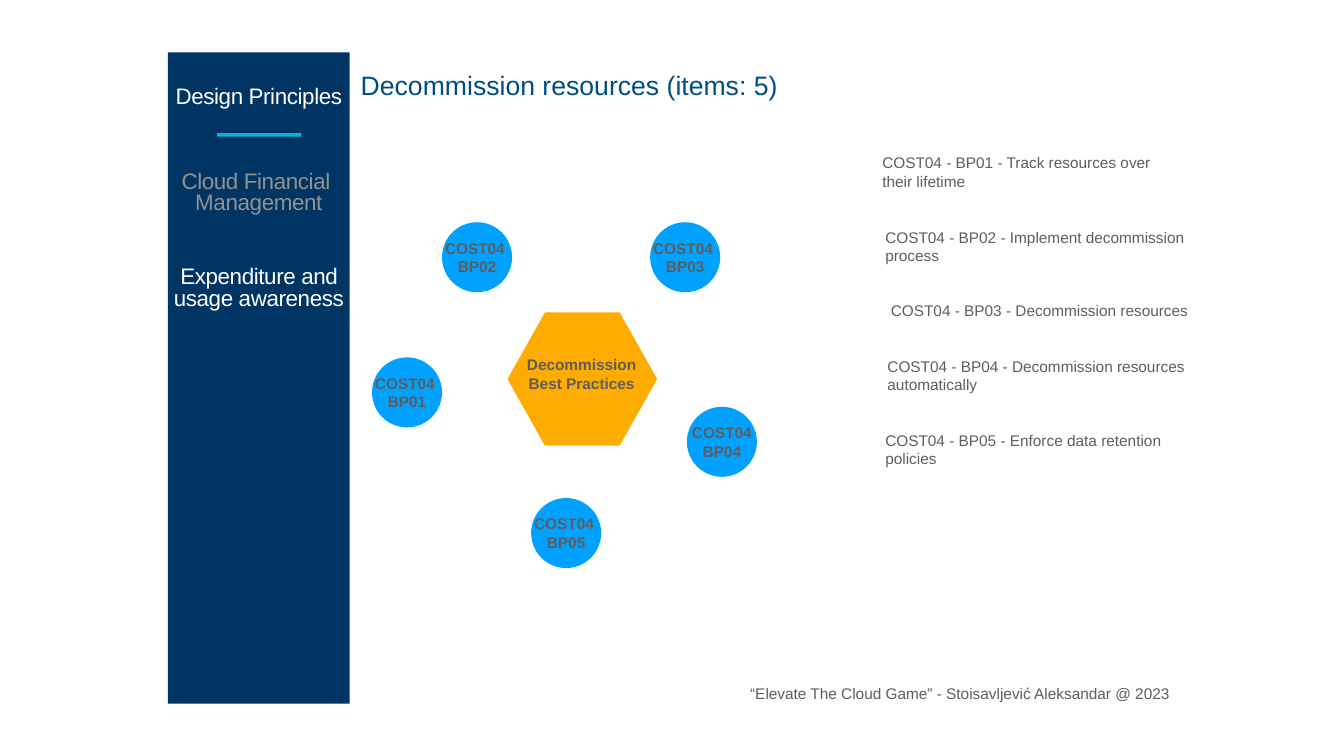
from dataclasses import dataclass

from pptx import Presentation
from pptx.dml.color import RGBColor
from pptx.enum.shapes import MSO_SHAPE
from pptx.enum.text import MSO_ANCHOR, MSO_AUTO_SIZE, PP_ALIGN
from pptx.util import Cm, Pt

RECTANGLE, OVAL = MSO_SHAPE.RECTANGLE, MSO_SHAPE.OVAL
LEFT, CENTER = PP_ALIGN.LEFT, PP_ALIGN.CENTER
MIDDLE = MSO_ANCHOR.MIDDLE
FIT_SHAPE = MSO_AUTO_SIZE.SHAPE_TO_FIT_TEXT


@dataclass(frozen=True)
class Theme:
    font: str = "Arial"
    navy: str = "003462"
    accent: str = "04B4DB"
    white: str = "FFFFFF"
    muted: str = "929292"
    body: str = "5E5E5E"
    heading: str = "004D80"
    orange: str = "FEAD00"
    blue: str = "00A1FF"
    heading_size: int = 38
    sidebar_size: int = 32
    body_size: int = 22


THEME = Theme()

# All lengths are in centimetres.
SLIDE_WIDTH, SLIDE_HEIGHT = 67.74, 38.1
SIDEBAR_LEFT, SIDEBAR_WIDTH = 8.46, 9.17
SIDEBAR_ITEMS = [  # top, lines, colour
    (3.18, ["Design Principles"], THEME.white),
    (8.0, ["Cloud Financial ", "Management"], THEME.muted),
    (12.8, ["Expenditure and usage awareness"], THEME.white),
]
HEADING = "Decommission resources (items: 5)"
FOOTER = "“Elevate The Cloud Game” - Stoisavljević Aleksandar @ 2023"
HUB = ["Decommission", "Best Practices"]
PRACTICES = [  # left, width, lines, alignment
    (44.27, 14.17, ["COST04 - BP01 - Track resources over", "their lifetime"], LEFT),
    (44.42, 15.93, ["COST04 - BP02 - Implement decommission", "process"], LEFT),
    (44.63, 15.52, ["COST04 - BP03 - Decommission resources"], CENTER),
    (44.53, 15.72, ["COST04 - BP04 - Decommission resources", "automatically"], LEFT),
    (44.42, 14.66, ["COST04 - BP05 - Enforce data retention", "policies"], LEFT),
]
PRACTICES_TOP, PRACTICE_GAP = 7.52, 1.45
TEXT_HEIGHTS = {1: 1.32, 2: 2.29}  # by number of lines
CIRCLES = [  # left, top, lines
    (18.75, 18.01, ["COST04 ", "BP01"]),
    (22.28, 11.2, ["COST04 ", "BP02"]),
    (32.77, 11.2, ["COST04 ", "BP03"]),
    (34.62, 20.5, ["COST04", "BP04"]),
    (26.77, 25.1, ["COST04 ", "BP05"]),
]
CIRCLE_SIZE, LABEL_WIDTH = 3.53, 3.66
HEXAGON = (25.58, 15.75, 7.54, 6.71)


def paint(shape, color):
    shape.shadow.inherit = False
    shape.fill.solid()
    shape.fill.fore_color.rgb = RGBColor.from_string(color)
    shape.line.fill.background()


def add_block(slide, kind, box, color):
    shape = slide.shapes.add_shape(kind, *map(Cm, box))
    paint(shape, color)


def add_hexagon(slide, box, color):
    left, top, width, height = box
    right, middle, bottom = left + width, top + height / 2, top + height
    inset = width / 4
    corners = [
        (left, middle), (left + inset, top), (right - inset, top),
        (right, middle), (right - inset, bottom), (left + inset, bottom),
    ]
    points = [(Cm(x), Cm(y)) for x, y in corners]
    builder = slide.shapes.build_freeform(*points[0])
    builder.add_line_segments(points[1:], close=True)
    paint(builder.convert_to_shape(), color)


def add_text(slide, box, lines, color=THEME.body, size=THEME.body_size,
             align=CENTER, bold=False, wrap=True, grow=False):
    """Add a text box with one paragraph per line and return its paragraphs."""
    frame = slide.shapes.add_textbox(*map(Cm, box)).text_frame
    frame.word_wrap = wrap
    frame.auto_size = FIT_SHAPE if grow else MSO_AUTO_SIZE.NONE
    frame.vertical_anchor = MIDDLE
    frame.margin_left = frame.margin_right = Cm(0.2)
    frame.margin_top = frame.margin_bottom = Cm(0.2)
    frame.text = "\n".join(lines)
    for paragraph in frame.paragraphs:
        paragraph.alignment = align
        font = paragraph.font
        font.name, font.size, font.bold = THEME.font, Pt(size), bold
        font.color.rgb = RGBColor.from_string(color)
    return frame.paragraphs


def add_sidebar(slide):
    add_block(slide, RECTANGLE, (SIDEBAR_LEFT, 2.64, SIDEBAR_WIDTH, 32.82), THEME.navy)
    add_block(slide, RECTANGLE, (10.95, 6.71, 4.24, 0.18), THEME.accent)
    for top, lines, color in SIDEBAR_ITEMS:
        box = (SIDEBAR_LEFT, top, SIDEBAR_WIDTH, 3.53)
        for paragraph in add_text(slide, box, lines, color, THEME.sidebar_size):
            paragraph.line_spacing = 0.8
            for run in paragraph.runs:
                run.font._element.set("spc", "-60")  # tighter letter spacing


def add_practices(slide):
    top = PRACTICES_TOP
    for left, width, lines, align in PRACTICES:
        height = TEXT_HEIGHTS[len(lines)]
        add_text(slide, (left, top, width, height), lines, align=align,
                 wrap=False, grow=True)
        top += height + PRACTICE_GAP


def add_diagram(slide):
    add_hexagon(slide, HEXAGON, THEME.orange)
    add_text(slide, (25.86, 16.36, 6.91, 4.98), HUB, bold=True)
    for left, top, lines in CIRCLES:
        add_block(slide, OVAL, (left, top, CIRCLE_SIZE, CIRCLE_SIZE), THEME.blue)
        height = TEXT_HEIGHTS[len(lines)]
        box = (left + (CIRCLE_SIZE - LABEL_WIDTH) / 2,
               top + (CIRCLE_SIZE - height) / 2, LABEL_WIDTH, height)
        add_text(slide, box, lines, bold=True, wrap=False, grow=True)


def main():
    presentation = Presentation()
    presentation.slide_width = Cm(SLIDE_WIDTH)
    presentation.slide_height = Cm(SLIDE_HEIGHT)
    slide = presentation.slides.add_slide(presentation.slide_layouts[6])
    add_sidebar(slide)
    add_text(slide, (37.57, 34.21, 21.62, 1.45), [FOOTER], wrap=False, grow=True)
    add_practices(slide)
    add_text(slide, (17.98, 3.18, 30.38, 2.24), [HEADING], THEME.heading,
             THEME.heading_size, LEFT, grow=True)
    add_diagram(slide)
    presentation.save("out.pptx")


if __name__ == "__main__":
    main()
